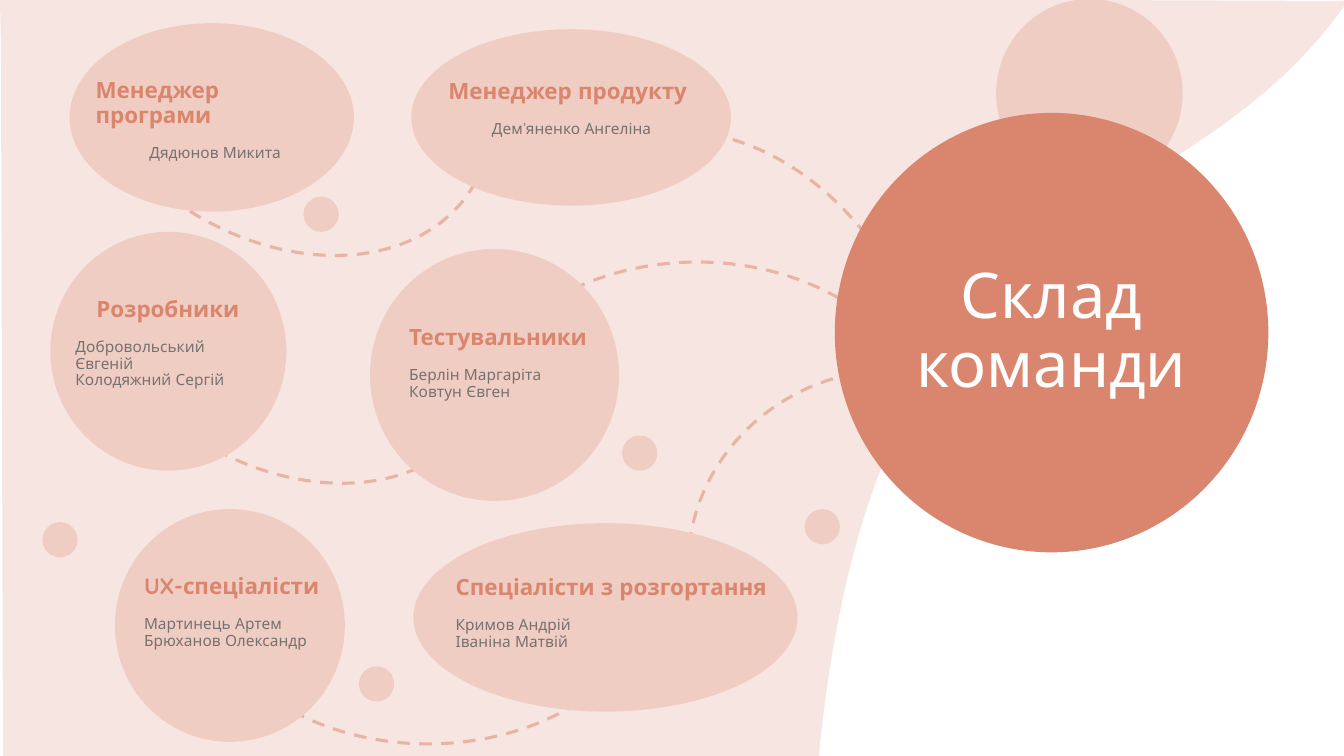
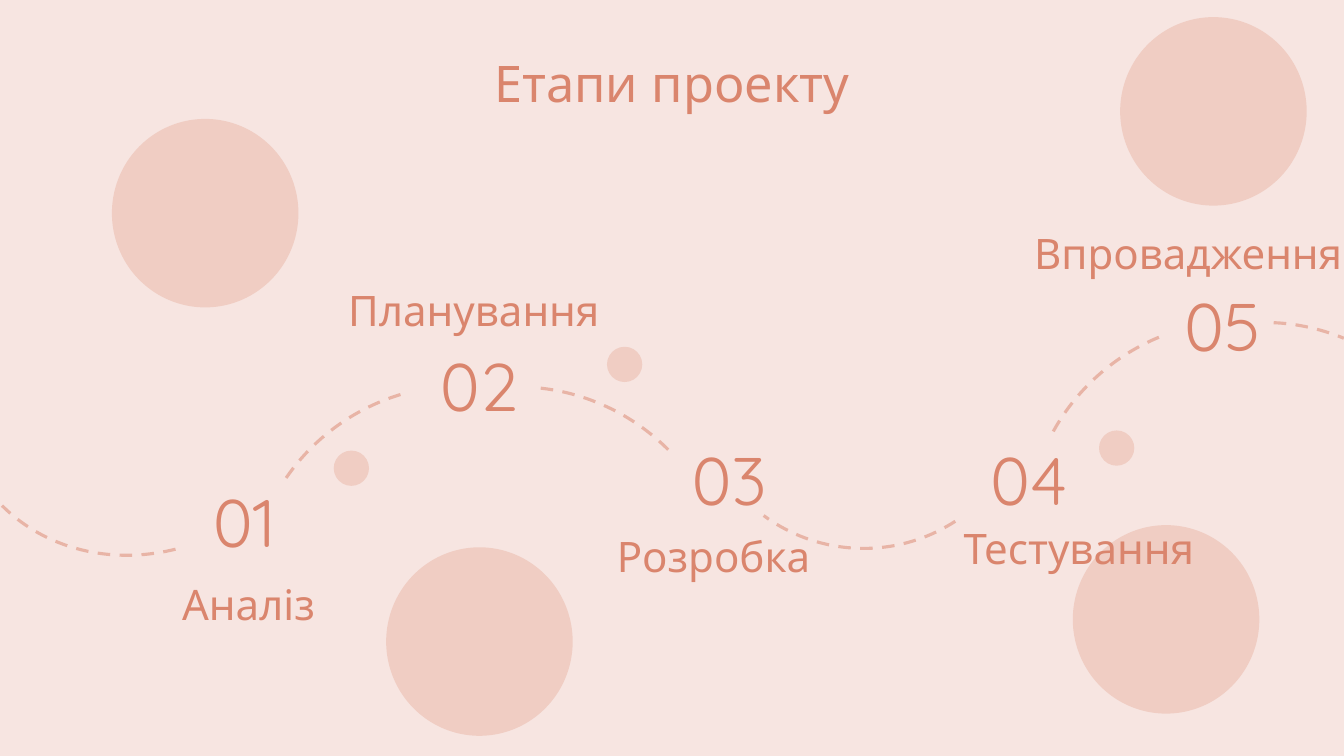
from pptx import Presentation
from pptx.dml.color import RGBColor
from pptx.enum.dml import MSO_LINE
from pptx.enum.shapes import MSO_SHAPE as Kind
from pptx.enum.text import MSO_ANCHOR as Anchor, PP_ALIGN as Align
from pptx.util import Inches, Pt

HUES = {
    "white": "FFFFFF",
    "blush": "F7E5E1",
    "rose": "F0CDC3",
    "dash": "E8B4A6",
    "coral": "DA856D",
    "gray": "767171",
}
FONT = "Quicksand"
DOT = (0.35, 0.35)
DISC = (1.85, 1.87)
LEFT, MID = Align.LEFT, Align.CENTER


def hue(name):
    return RGBColor.from_string(HUES[name])


def write(frame, text, size=16, color="coral", bold=False, align=MID,
          before=0, pitch=1.0, more=False):
    para = frame.add_paragraph() if more else frame.paragraphs[0]
    para.alignment = align
    para.space_before = Pt(before)
    para.line_spacing = pitch
    run = para.add_run()
    run.text = text
    font = run.font
    font.name, font.size, font.bold = FONT, Pt(size), bold
    font.color.rgb = hue(color)


class Deck:
    def __init__(self):
        self.prs = Presentation()
        self.prs.slide_width = Inches(13.33)
        self.prs.slide_height = Inches(7.5)
        self.slide = None

    def page(self, color):
        self.slide = self.prs.slides.add_slide(self.prs.slide_layouts[6])
        fill = self.slide.background.fill
        fill.solid()
        fill.fore_color.rgb = hue(color)

    def paint(self, shape, color):
        shape.shadow.inherit = False
        shape.fill.solid()
        shape.fill.fore_color.rgb = hue(color)
        shape.line.fill.background()

    def shape(self, box, color="rose", kind=Kind.OVAL):
        shape = self.slide.shapes.add_shape(kind, *map(Inches, box))
        self.paint(shape, color)
        frame = shape.text_frame
        frame.word_wrap = True
        frame.vertical_anchor = Anchor.TOP
        return frame

    def spots(self, size, *places):
        for place in places:
            self.shape(place + size)

    def arc(self, box, turn, start, end):
        arc = self.slide.shapes.add_shape(Kind.ARC, *map(Inches, box))
        arc.shadow.inherit = False
        arc.rotation = turn
        arc.adjustments[0] = start
        arc.adjustments[1] = end
        arc.fill.background()
        arc.line.color.rgb = hue("dash")
        arc.line.width = Pt(2.25)
        arc.line.dash_style = MSO_LINE.DASH

    def text(self, box):
        frame = self.slide.shapes.add_textbox(*map(Inches, box)).text_frame
        frame.word_wrap = True
        return frame

    def label(self, box, text, size=30, align=MID):
        write(self.text(box), text, size=size, align=align)

    def role(self, oval, box, head, names, aligns):
        self.shape(oval)
        frame = self.text(box)
        write(frame, head, bold=True, align=aligns[0], pitch=0.9)
        for i, name in enumerate(names):
            write(frame, name, size=11, color="gray", align=aligns[1],
                  before=0 if i else 12, pitch=0.9, more=True)

    def step(self, box, text):
        write(self.shape(box, "blush", Kind.RECTANGLE), text, size=48)

    def wave(self):
        curve = [(13.37, 0.01), (11.62, 2.51), (8.7, 1.58), (8.12, 7.51)]
        steps = 60
        points = [(0, -0.01), (8.14, -0.01)]
        for i in range(steps + 1):
            t = i / steps
            u = 1 - t
            parts = (u ** 3, 3 * u * u * t, 3 * u * t * t, t ** 3)
            points.append(tuple(sum(w * p[k] for w, p in zip(parts, curve))
                                for k in (0, 1)))
        points += [(0.03, 7.51), (0.01, 0.46)]
        spots = [(Inches(x), Inches(y)) for x, y in points]
        path = self.slide.shapes.build_freeform(*spots[0])
        path.add_line_segments(spots[1:], close=True)
        self.paint(path.convert_to_shape(), "blush")


def team(deck):
    deck.page("white")
    deck.wave()
    deck.spots(DISC, (9.88, -0.01))
    deck.spots(DOT, (6.17, 4.32), (0.42, 5.18), (3.01, 1.95),
               (3.56, 6.61), (7.98, 5.05))
    for arc in [
        ((6.8, 3.7, 3.86, 3.56), 334.1, 124.94, 11.14),
        ((4.56, 2.6, 4.71, 3.63), 0, 138.93, 207.59),
        ((4.83, 1.67, 4.71, 3.63), 54.6, 123.85, 193.66),
        ((0.49, -1.06, 4.55, 3.4), 213.5, 106.46, 189.21),
        ((0.56, 1.2, 4.55, 3.4), 213.5, 106.46, 189.21),
        ((1.89, 3.75, 4.71, 3.63), 180, 123.85, 193.66),
    ]:
        deck.arc(*arc)
    frame = deck.shape((8.28, 1.12, 4.3, 4.36), "coral")
    frame.vertical_anchor = Anchor.MIDDLE
    write(frame, "Склад команди", size=45, color="white", pitch=0.9)
    for role in [
        ((0.69, 0.23, 2.82, 1.87), (0.85, 0.74, 2.57, 1.02),
         "Менеджер програми", ["Дядюнов Микита"], (LEFT, MID)),
        ((4.08, 0.29, 3.17, 1.75), (4.35, 0.75, 2.64, 1.09),
         "Менеджер продукту", ["Дем’яненко Ангеліна"], (LEFT, MID)),
        ((3.67, 2.47, 2.47, 2.5), (3.96, 3.19, 2.9, 1.73),
         "Тестувальники", ["Берлін Маргаріта", "Ковтун Євген"],
         (LEFT, LEFT)),
        ((0.5, 2.3, 2.34, 2.37), (0.65, 2.91, 2.03, 1.46),
         "Розробники", ["Добровольський Євгеній", "Колодяжний Сергій"],
         (MID, LEFT)),
        ((4.1, 5.19, 3.81, 1.87), (4.42, 5.67, 3.49, 1.46),
         "Спеціалісти з розгортання", ["Кримов Андрій", "Іваніна Матвій"],
         (LEFT, LEFT)),
        ((1.14, 5.05, 2.28, 2.31), (1.33, 5.66, 2.52, 1.46),
         "UX-спеціалісти", ["Мартинець Артем", "Брюханов Олександр"],
         (LEFT, LEFT)),
    ]:
        deck.role(*role)


def stages(deck):
    deck.page("blush")
    deck.spots(DISC, (10.64, 5.21), (11.11, 0.17), (3.83, 5.43),
               (1.11, 1.18))
    deck.spots(DOT, (10.9, 4.27), (6.02, 3.44), (3.31, 4.47))
    deck.label((0, 0.47, 13.33, 0.71), "Етапи проекту", size=36)
    for i, box in enumerate([
        (1.91, 4.72, 1.02, 0.91),
        (4.19, 3.37, 1.12, 0.91),
        (6.67, 4.3, 1.12, 0.91),
        (9.58, 4.3, 1.25, 0.91),
        (11.5, 2.77, 1.25, 0.91),
    ], 1):
        deck.step(box, f"{i:02}")
    size = (3.91, 3.56)
    for arc in [
        ((-0.48, 2.03, 3.8, 3.43), 150, 173.61, 208.66),
        ((2.46, 3.87) + size, 330, 143.96, 171.85),
        ((6.92, 2.21, 3.29, 3.23), 180, 141.57, 184.53),
        ((3.35, 3.89) + size, 31.9, 143.96, 171.85),
        ((10.15, 3.25) + size, 324.4, 143.96, 171.85),
        ((10.75, 3.25) + size, 31.9, 141.5, 155.1),
    ]:
        deck.arc(*arc)
    deck.label((1.44, 5.69, 2.05, 0.61), "Аналіз")
    deck.label((3.24, 2.77, 2.92, 0.61), "Планування")
    deck.label((6.02, 5.21, 2.2, 0.71), "Розробка", align=LEFT)
    deck.label((9.46, 5.13, 2.7, 0.71), "Тестування", align=LEFT)
    deck.label((10.11, 2.21, 3.35, 0.61), "Впровадження")


def main():
    deck = Deck()
    team(deck)
    stages(deck)
    deck.prs.save("out.pptx")


if __name__ == "__main__":
    main()
